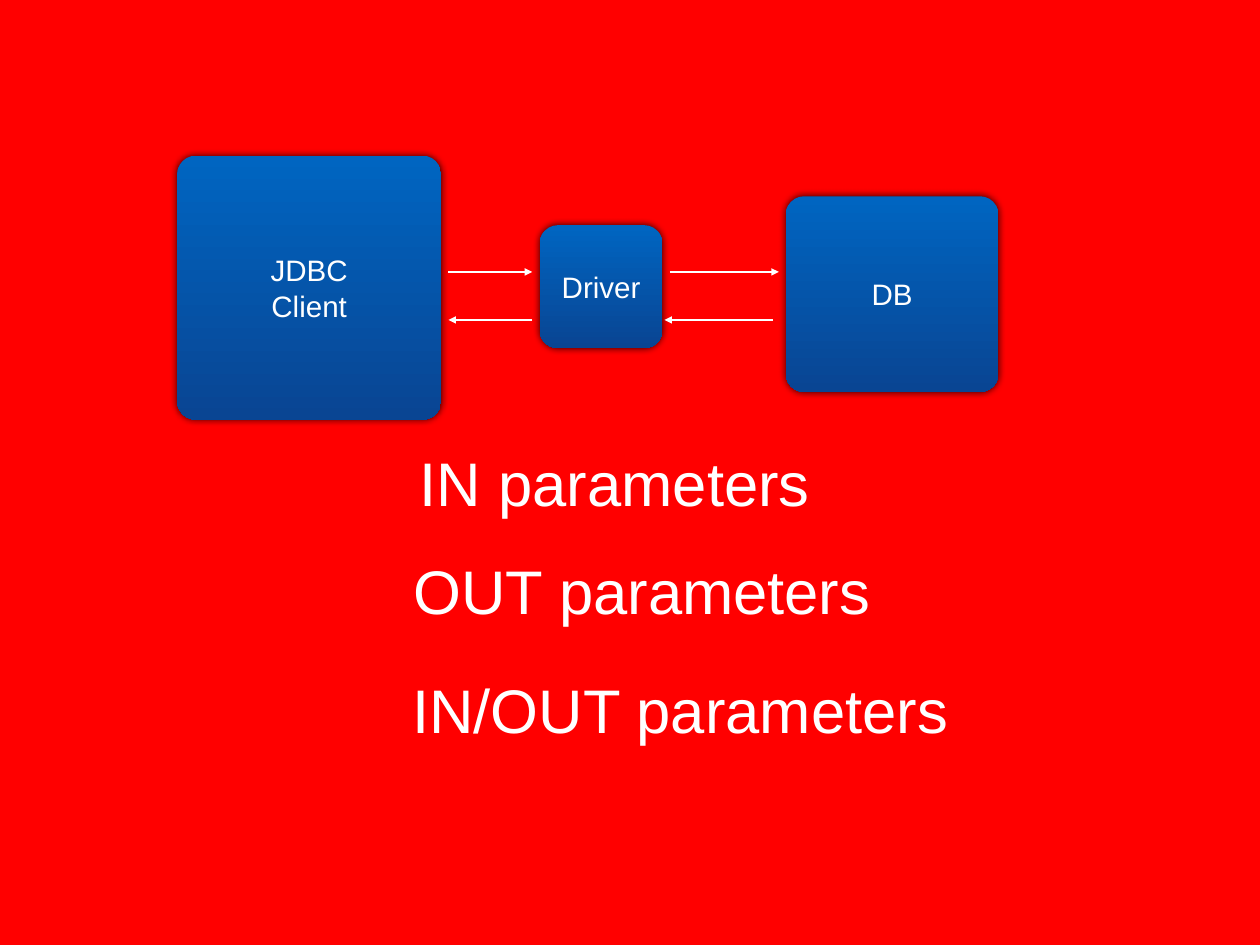
from dataclasses import dataclass
from typing import NamedTuple

from lxml.etree import SubElement
from pptx import Presentation
from pptx.dml.color import RGBColor
from pptx.enum.shapes import MSO_CONNECTOR, MSO_SHAPE
from pptx.enum.text import MSO_ANCHOR, MSO_AUTO_SIZE, PP_ALIGN
from pptx.oxml.ns import qn
from pptx.util import Pt


@dataclass(frozen=True)
class Theme:
    background: RGBColor = RGBColor(0xFF, 0x00, 0x00)
    foreground: RGBColor = RGBColor(0xFF, 0xFF, 0xFF)
    node_top: RGBColor = RGBColor(0x00, 0x65, 0xC1)
    node_bottom: RGBColor = RGBColor(0x09, 0x45, 0x93)
    shadow: str = "000000"
    font: str = "Arial"
    node_size: float = 24
    parameter_size: float = 50
    inset: float = 4.5
    corner: float = 15
    arrow_width: float = 2


class Box(NamedTuple):
    left: float
    top: float
    width: float
    height: float

    def inner(self, left, top, width, height):
        """Return a box whose offset is measured from this one's corner."""
        return Box(self.left + left, self.top + top, width, height)

    def lengths(self):
        return [Pt(length) for length in self]


THEME = Theme()


def write_text(frame, lines, size):
    frame.vertical_anchor = MSO_ANCHOR.MIDDLE
    frame.margin_left = frame.margin_right = Pt(THEME.inset)
    frame.margin_top = frame.margin_bottom = Pt(THEME.inset)
    for index, line in enumerate(lines):
        paragraph = frame.add_paragraph() if index else frame.paragraphs[0]
        paragraph.text = line
        paragraph.alignment = PP_ALIGN.CENTER
        paragraph.font.name = THEME.font
        paragraph.font.size = Pt(size)
        paragraph.font.color.rgb = THEME.foreground


def add_soft_shadow(node):
    node.shadow.inherit = False
    effects = node._element.spPr.find(qn("a:effectLst"))
    shadow = SubElement(effects, qn("a:outerShdw"), blurRad=str(Pt(6)),
                        dist="0", dir=str(315 * 60000), rotWithShape="0")
    color = SubElement(shadow, qn("a:srgbClr"), val=THEME.shadow)
    SubElement(color, qn("a:alpha"), val="80000")


def add_node(slide, box, lines):
    node = slide.shapes.add_shape(MSO_SHAPE.ROUNDED_RECTANGLE, *box.lengths())
    node.adjustments[0] = THEME.corner / min(box.width, box.height)
    node.fill.gradient()
    node.fill.gradient_angle = 270
    for stop, color in zip(node.fill.gradient_stops,
                           (THEME.node_top, THEME.node_bottom)):
        stop.color.rgb = color
    node.line.fill.background()
    add_soft_shadow(node)
    write_text(node.text_frame, lines, THEME.node_size)


def add_arrow(slide, start, end, y):
    arrow = slide.shapes.add_connector(
        MSO_CONNECTOR.STRAIGHT, Pt(start), Pt(y), Pt(end), Pt(y))
    arrow.line.color.rgb = THEME.foreground
    arrow.line.width = Pt(THEME.arrow_width)
    SubElement(arrow.line._get_or_add_ln(), qn("a:tailEnd"), type="triangle")
    SubElement(arrow._element.spPr, qn("a:effectLst"))


def draw_call_path(slide, box):
    """Draw client, driver and database with request and reply arrows."""
    add_node(slide, box.inner(0, 0, 214.5, 214.5), ["JDBC", "Client"])
    add_node(slide, box.inner(294.5, 56.5, 100, 100), ["Driver"])
    add_node(slide, box.inner(494.5, 33, 173, 159), ["DB"])

    request_y, reply_y = box.top + 94.5, box.top + 133.5
    for start, end, y in [
        (220.5, 288.5, request_y),
        (400.5, 489, request_y),
        (484, 396, reply_y),
        (288.5, 220.5, reply_y),
    ]:
        add_arrow(slide, box.left + start, box.left + end, y)


def draw_parameter_kinds(slide, box):
    for kind, left, top, width in [
        ("IN", 5, 0, 328.5),
        ("OUT", 0.5, 88, 381.5),
        ("IN/OUT", 0, 184, 445),
    ]:
        label_box = box.inner(left, top, width, 67.5)
        label = slide.shapes.add_textbox(*label_box.lengths()).text_frame
        label.word_wrap = False
        label.auto_size = MSO_AUTO_SIZE.SHAPE_TO_FIT_TEXT
        write_text(label, [f"{kind} parameters"], THEME.parameter_size)


def main():
    deck = Presentation()
    deck.slide_width, deck.slide_height = Pt(1024), Pt(768)
    slide = deck.slides.add_slide(deck.slide_layouts[6])
    slide.background.fill.solid()
    slide.background.fill.fore_color.rgb = THEME.background
    draw_call_path(slide, Box(144, 126.5, 667.5, 214.5))
    draw_parameter_kinds(slide, Box(330.5, 358, 445, 251.5))
    deck.save("out.pptx")


if __name__ == "__main__":
    main()
